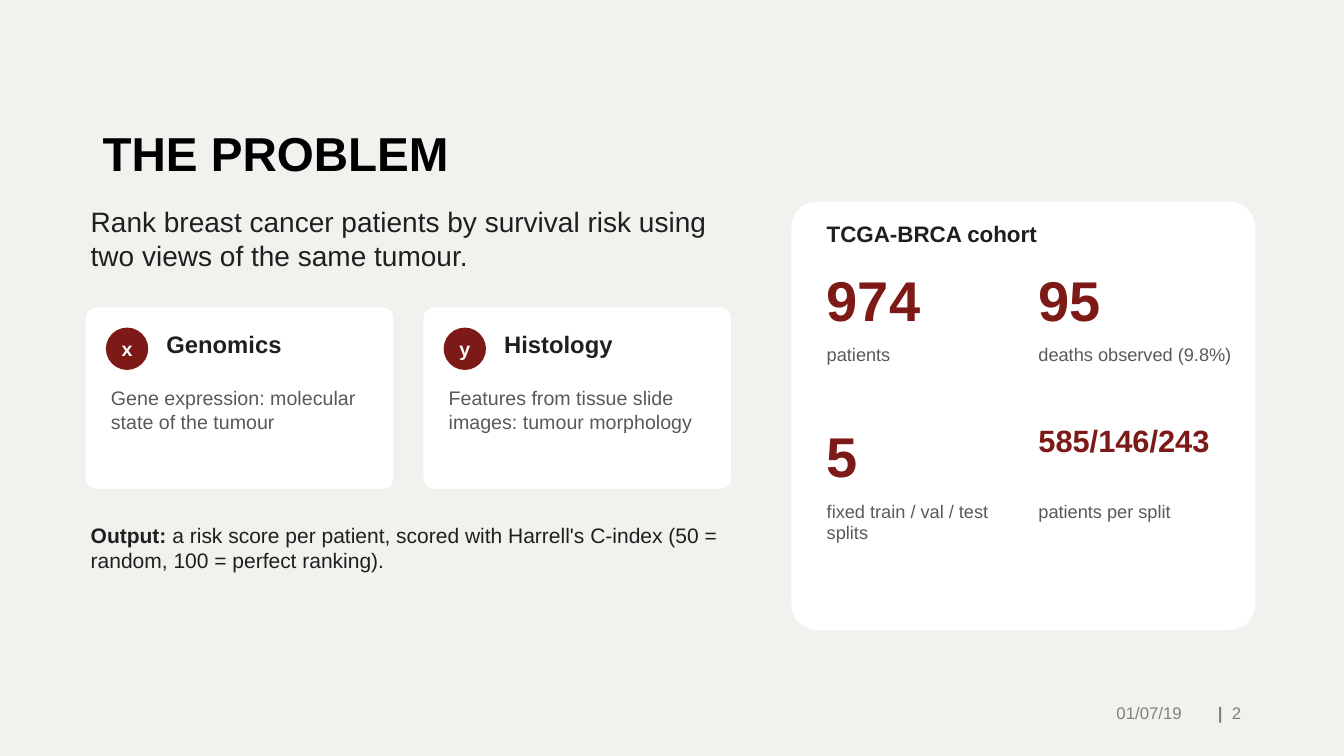
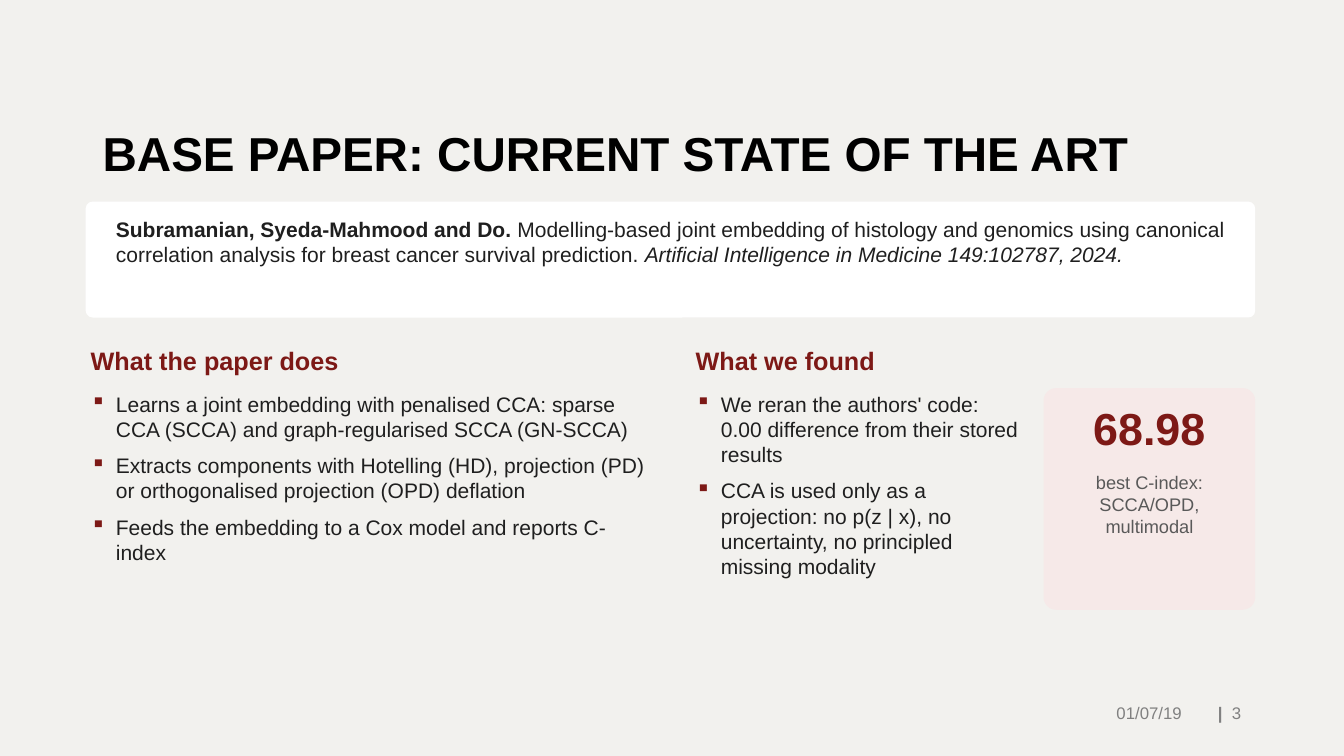
from collections import namedtuple

from lxml import etree
from pptx import Presentation
from pptx.dml.color import RGBColor
from pptx.enum.shapes import MSO_SHAPE
from pptx.enum.text import MSO_ANCHOR, PP_ALIGN
from pptx.oxml.ns import qn
from pptx.util import Emu, Pt

ROUNDED, ELLIPSE = MSO_SHAPE.ROUNDED_RECTANGLE, MSO_SHAPE.OVAL
TOP, MIDDLE, BOTTOM = MSO_ANCHOR.TOP, MSO_ANCHOR.MIDDLE, MSO_ANCHOR.BOTTOM
LEFT, CENTER, RIGHT = PP_ALIGN.LEFT, PP_ALIGN.CENTER, PP_ALIGN.RIGHT

EMU_PER_PX = 9144
FONT = "Arial"
BACKGROUND = RGBColor(0xF2, 0xF1, 0xEE)
BLACK = RGBColor(0x00, 0x00, 0x00)
WHITE = RGBColor(0xFF, 0xFF, 0xFF)
INK = RGBColor(0x1F, 0x1F, 0x1F)
MUTED = RGBColor(0x59, 0x59, 0x59)
FOOTER_GREY = RGBColor(0x80, 0x80, 0x80)
MAROON = RGBColor(0x7D, 0x19, 0x16)
BLUSH = RGBColor(0xF6, 0xE9, 0xE8)

TIGHT_INSETS = (5, 3)
WIDE_INSETS = (10, 5)
INDENT = 25
BAR_SPACING = "167"

Box = namedtuple("Box", "left top width height")
Span = namedtuple("Span", "text size color bold italic", defaults=(INK, False, False))


def px(length):
    return Emu(length * EMU_PER_PX)


def inside(box, left, top, width, height):
    return Box(box.left + left, box.top + top, width, height)


def add_spans(para, spans):
    for span in spans:
        run = para.add_run()
        run.text = span.text
        run.font.name = FONT
        run.font.size = Pt(span.size)
        run.font.color.rgb = span.color
        run.font.bold = span.bold
        run.font.italic = span.italic


def set_frame(frame, insets, anchor):
    frame.word_wrap = True
    frame.vertical_anchor = anchor
    frame.margin_left = frame.margin_right = px(insets[0])
    frame.margin_top = frame.margin_bottom = px(insets[1])


def add_text(page, box, *spans, align=LEFT, anchor=TOP, insets=TIGHT_INSETS):
    frame = page.shapes.add_textbox(*map(px, box)).text_frame
    set_frame(frame, insets, anchor)
    para = frame.paragraphs[0]
    para.alignment = align
    add_spans(para, spans)
    return para


def add_panel(page, box, fill=WHITE, kind=ROUNDED):
    panel = page.shapes.add_shape(kind, *map(px, box))
    panel.shadow.inherit = False
    panel.fill.solid()
    panel.fill.fore_color.rgb = fill
    panel.line.fill.background()
    if kind == ROUNDED:
        panel.adjustments[0] = 0.06
    return panel


def add_bullets(page, box, items):
    frame = page.shapes.add_textbox(*map(px, box)).text_frame
    set_frame(frame, TIGHT_INSETS, TOP)
    for index, item in enumerate(items):
        para = frame.add_paragraph() if index else frame.paragraphs[0]
        para.space_after = Pt(8)
        properties = para._p.get_or_add_pPr()
        properties.set("marL", str(px(INDENT)))
        properties.set("indent", str(-px(INDENT)))
        color = etree.SubElement(properties, qn("a:buClr"))
        etree.SubElement(color, qn("a:srgbClr")).set("val", str(MAROON))
        etree.SubElement(properties, qn("a:buChar")).set("char", "▪")
        add_spans(para, [Span(item, 15)])


def add_page(deck, title, number):
    page = deck.slides.add_slide(deck.slide_layouts[6])
    page.background.fill.solid()
    page.background.fill.fore_color.rgb = BACKGROUND
    heading = add_text(page, Box(92, 40, 1150, 145), Span(title, 34, BLACK, True),
                       anchor=BOTTOM, insets=WIDE_INSETS)
    heading.line_spacing = 0.9
    footer = {"align": RIGHT, "anchor": MIDDLE, "insets": WIDE_INSETS}
    add_text(page, Box(867, 687, 315, 41), Span("01/07/19", 12, FOOTER_GREY), **footer)
    counter = add_text(page, Box(1181, 687, 60, 41), Span("| ", 12, FOOTER_GREY, True),
                       Span(str(number), 12, FOOTER_GREY), **footer)
    counter.runs[0].font._element.set("spc", BAR_SPACING)
    return page


def add_view_card(page, box, symbol, name, description):
    add_panel(page, box)
    badge = add_panel(page, inside(box, 20, 20, 42, 42), MAROON, ELLIPSE)
    set_frame(badge.text_frame, (0, 0), MIDDLE)
    para = badge.text_frame.paragraphs[0]
    para.alignment = CENTER
    add_spans(para, [Span(symbol, 14, WHITE, True)])
    add_text(page, inside(box, 75, 19, 220, 45), Span(name, 17, INK, True))
    add_text(page, inside(box, 20, 75, 275, 140), Span(description, 14, MUTED))


def add_statistic(page, box, value, label, size):
    add_text(page, inside(box, 0, 0, box.width, 75), Span(value, size, MAROON, True))
    add_text(page, inside(box, 0, 78, box.width, 70), Span(label, 13, MUTED))


def add_cohort_panel(page, box, heading, statistics):
    add_panel(page, box)
    add_text(page, inside(box, 30, 15, 400, 40), Span(heading, 16, INK, True))
    for index, (value, label, size) in enumerate(statistics):
        row, column = divmod(index, 2)
        cell = inside(box, 30 + 210 * column, 60 + 155 * row, 200 + 10 * column, 148)
        add_statistic(page, cell, value, label, size)


def add_citation(page, box, authors, title, journal):
    add_panel(page, box)
    add_text(page, inside(box, 25, 12, box.width - 50, 95), Span(authors, 15, INK, True),
             Span(title, 15), Span(journal, 15, INK, False, True))


def add_findings(page, box, heading, items):
    add_text(page, inside(box, 0, 0, box.width, 40), Span(heading, 18, MAROON, True))
    add_bullets(page, inside(box, 0, 45, box.width, 240), items)


def add_score_panel(page, box, score, label):
    add_panel(page, box, BLUSH)
    width = box.width - 20
    add_text(page, inside(box, 10, 10, width, 60), Span(score, 32, MAROON, True), align=CENTER)
    add_text(page, inside(box, 10, 80, width, 130), Span(label, 13, MUTED), align=CENTER)


def build_problem(deck):
    page = add_page(deck, "THE PROBLEM", 2)
    add_text(page, Box(85, 200, 640, 90), Span(
        "Rank breast cancer patients by survival risk using two views of the same tumour.", 20))
    views = [
        ("x", "Genomics", "Gene expression: molecular state of the tumour"),
        ("y", "Histology", "Features from tissue slide images: tumour morphology"),
    ]
    for index, view in enumerate(views):
        add_view_card(page, Box(85 + 335 * index, 305, 305, 180), *view)
    add_text(page, Box(85, 515, 640, 80), Span("Output: ", 15, INK, True), Span(
        "a risk score per patient, scored with Harrell's C-index "
        "(50 = random, 100 = perfect ranking).", 15))
    add_cohort_panel(page, Box(785, 200, 460, 425), "TCGA-BRCA cohort", [
        ("974", "patients", 40),
        ("95", "deaths observed (9.8%)", 40),
        ("5", "fixed train / val / test splits", 40),
        ("585/146/243", "patients per split", 22),
    ])


def build_base_paper(deck):
    page = add_page(deck, "BASE PAPER: CURRENT STATE OF THE ART", 3)
    add_citation(
        page, Box(85, 200, 1160, 115),
        "Subramanian, Syeda-Mahmood and Do. ",
        "Modelling-based joint embedding of histology and genomics using canonical "
        "correlation analysis for breast cancer survival prediction. ",
        "Artificial Intelligence in Medicine 149:102787, 2024.")
    add_findings(page, Box(85, 340, 560, 285), "What the paper does", [
        "Learns a joint embedding with penalised CCA: sparse CCA (SCCA) "
        "and graph-regularised SCCA (GN-SCCA)",
        "Extracts components with Hotelling (HD), projection (PD) "
        "or orthogonalised projection (OPD) deflation",
        "Feeds the embedding to a Cox model and reports C-index",
    ])
    add_findings(page, Box(685, 340, 330, 285), "What we found", [
        "We reran the authors' code: 0.00 difference from their stored results",
        "CCA is used only as a projection: no p(z | x), no uncertainty, "
        "no principled missing modality",
    ])
    add_score_panel(page, Box(1035, 385, 210, 220), "68.98",
                    "best C-index: SCCA/OPD, multimodal")


def main():
    deck = Presentation()
    deck.slide_width, deck.slide_height = px(1333), px(750)
    build_problem(deck)
    build_base_paper(deck)
    deck.save("out.pptx")


if __name__ == "__main__":
    main()
